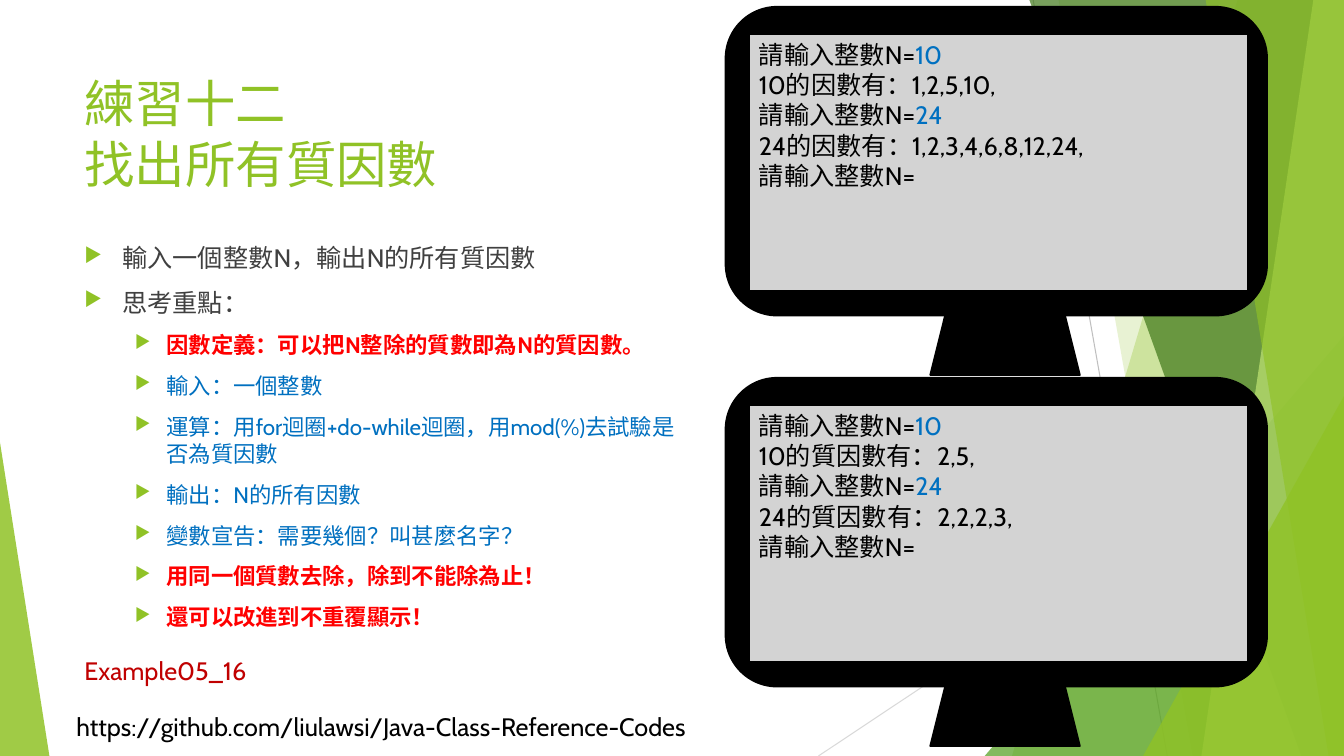
import lxml.etree
import pptx
import pptx.dml.color
import pptx.enum.shapes
import pptx.enum.text
import pptx.oxml.ns
import pptx.util

Pt = pptx.util.Pt
RGBColor = pptx.dml.color.RGBColor
Shape = pptx.enum.shapes.MSO_SHAPE
qn = pptx.oxml.ns.qn

BLACK = RGBColor(0x00, 0x00, 0x00)
GREEN = RGBColor(0x90, 0xC2, 0x26)
MID_GREEN = RGBColor(0x54, 0xA0, 0x21)
DARK_GREEN = RGBColor(0x3F, 0x78, 0x19)
PALE_GREEN = RGBColor(0xC0, 0xE4, 0x74)
SCREEN_GRAY = RGBColor(0xD3, 0xD3, 0xD3)
LINE_GRAY = RGBColor(0xBF, 0xBF, 0xBF)
PALE_GRAY = RGBColor(0xD9, 0xD9, 0xD9)
TEXT_GRAY = RGBColor(0x40, 0x40, 0x40)
RED = RGBColor(0xFF, 0x00, 0x00)
DARK_RED = RGBColor(0xC0, 0x00, 0x00)
BLUE = RGBColor(0x00, 0x70, 0xC0)

FONT = "Cabin"
WIDTH, HEIGHT = 960, 540
FACET_TOP = -0.6

PROMPT = "請輸入整數N="
FACTORS = [(PROMPT, "10"), ("10的因數有：1,2,5,10,", ""), (PROMPT, "24"),
           ("24的因數有：1,2,3,4,6,8,12,24,", ""), (PROMPT, "")]
PRIME_FACTORS = [(PROMPT, "10"), ("10的質因數有：2,5,", ""), (PROMPT, "24"),
                 ("24的質因數有：2,2,2,3,", ""), (PROMPT, "")]
POINTS = [
    (0, "輸入一個整數N，輸出N的所有質因數", TEXT_GRAY),
    (0, "思考重點：", TEXT_GRAY),
    (1, "因數定義：可以把N整除的質數即為N的質因數。", RED),
    (1, "輸入：一個整數", BLUE),
    (1, "運算：用for迴圈+do-while迴圈，用mod(%)去試驗是否為質因數", BLUE),
    (1, "輸出：N的所有因數", BLUE),
    (1, "變數宣告：需要幾個？叫甚麼名字？", BLUE),
    (1, "用同一個質數去除，除到不能除為止！", RED),
    (1, "還可以改進到不重覆顯示！", RED),
]


def set_font(font, size, color, bold=False):
    """Apply the slide's typeface with a size, colour and weight."""
    font.name, font.size, font.bold = FONT, Pt(size), bold
    font.color.rgb = color


def fill_facet(shape, color, alpha):
    """Give a shape a translucent fill without outline or shadow."""
    shape.shadow.inherit = False
    shape.fill.solid()
    shape.fill.fore_color.rgb = color
    shape.line.fill.background()
    tint = shape.fill._xPr.find(qn("a:solidFill"))[0]
    lxml.etree.SubElement(tint, qn("a:alpha")).set("val", str(alpha * 1000))


def add_hairline(shapes, start, end, color):
    """Draw a thin background line."""
    line = shapes.add_connector(pptx.enum.shapes.MSO_CONNECTOR.STRAIGHT,
                                Pt(start[0]), Pt(start[1]), Pt(end[0]), Pt(end[1]))
    line.line.color.rgb = color
    line.line.width = Pt(0.75)
    lxml.etree.SubElement(line._element.spPr, qn("a:effectLst"))


def add_band(shapes, top_x, bottom_x, color, alpha):
    """Fill the area between a slanted edge and the right slide border."""
    builder = shapes.build_freeform(Pt(top_x), Pt(FACET_TOP))
    corners = [(WIDTH, FACET_TOP), (WIDTH, HEIGHT), (bottom_x, HEIGHT)]
    builder.add_line_segments([(Pt(x), Pt(y)) for x, y in corners], close=True)
    fill_facet(builder.convert_to_shape(), color, alpha)


def add_wedge(shapes, left, top, width, peak, color, alpha):
    """Stand a right triangle on the bottom slide border."""
    wedge = shapes.add_shape(Shape.ISOSCELES_TRIANGLE, Pt(left), Pt(top),
                             Pt(width), Pt(HEIGHT - top))
    wedge.adjustments[0] = peak
    fill_facet(wedge, color, alpha)


def add_background(slide):
    """Draw the faceted green decoration."""
    shapes = slide.shapes.add_group_shape().shapes
    add_hairline(shapes, (738, 0), (833.8, HEIGHT), LINE_GRAY)
    add_hairline(shapes, (WIDTH, 290.2), (584.6, HEIGHT), PALE_GRAY)
    add_band(shapes, 884.2, 722.9, GREEN, 30)
    add_band(shapes, 756, 851.8, GREEN, 20)
    add_wedge(shapes, 703.4, 239.8, 256.6, 1, MID_GREEN, 72)
    add_band(shapes, 735.1, 929.5, DARK_GREEN, 70)
    add_band(shapes, 938.2, 858.2, PALE_GREEN, 70)
    add_band(shapes, 861.1, 949, GREEN, 65)
    add_wedge(shapes, 816.5, 283, 143.5, 1, GREEN, 80)
    add_wedge(shapes, 0, 316.1, 35.3, 0, GREEN, 85)


def add_label(slide, left, top, width, height, text, size, color, wrap=False):
    """Place a single-paragraph text box."""
    box = slide.shapes.add_textbox(Pt(left), Pt(top), Pt(width), Pt(height))
    box.text_frame.word_wrap = wrap
    para = box.text_frame.paragraphs[0]
    para.text = text
    set_font(para.font, size, color)


def add_bullet(para, margin, hanging):
    """Give a paragraph a green arrow bullet with a hanging indent."""
    props = para._p.get_or_add_pPr()
    props.set("marL", str(Pt(margin)))
    props.set("indent", str(-Pt(hanging)))
    tint = lxml.etree.SubElement(props, qn("a:buClr"))
    lxml.etree.SubElement(tint, qn("a:srgbClr")).set("val", str(GREEN))
    lxml.etree.SubElement(props, qn("a:buSzPct")).set("val", "80000")
    lxml.etree.SubElement(props, qn("a:buChar")).set("char", "▶")


def add_points(slide, left, top, width, height):
    """Place the two-level bulleted list."""
    box = slide.shapes.add_textbox(Pt(left), Pt(top), Pt(width), Pt(height))
    frame = box.text_frame
    frame.word_wrap = True
    for index, (level, text, color) in enumerate(POINTS):
        para = frame.add_paragraph() if index else frame.paragraphs[0]
        para.text = text
        para.level = level
        add_bullet(para, *((58.5, 22.5) if level else (27, 27)))
        para.space_before = Pt(10 if index else 0)
        set_font(para.font, 16 if level else 18, color, color == RED)


def add_part(shapes, kind, left, top, width, height, color):
    """Add one black-edged part of a monitor."""
    part = shapes.add_shape(kind, Pt(left), Pt(top), Pt(width), Pt(height))
    part.shadow.inherit = False
    part.fill.solid()
    part.fill.fore_color.rgb = color
    part.line.color.rgb = BLACK
    part.line.width = Pt(1.5)
    return part


def add_monitor(slide, left, top, lines):
    """Draw a monitor whose screen shows a console session."""
    shapes = slide.shapes.add_group_shape().shapes
    add_part(shapes, Shape.ROUNDED_RECTANGLE, left, top, 386.6, 220.3, BLACK)
    screen = add_part(shapes, Shape.RECTANGLE, left + 16.6, top + 19.4,
                      356.4, 183.6, SCREEN_GRAY)
    add_part(shapes, Shape.TRAPEZOID, left + 146.2, top + 220.3, 106.6, 42.5, BLACK)
    frame = screen.text_frame
    frame.word_wrap = True
    frame.vertical_anchor = pptx.enum.text.MSO_ANCHOR.TOP
    for index, (output, typed) in enumerate(lines):
        para = frame.add_paragraph() if index else frame.paragraphs[0]
        para.alignment = pptx.enum.text.PP_ALIGN.LEFT
        set_font(para.font, 18, BLACK)
        for text, color in ((output, BLACK), (typed, BLUE)):
            if text:
                span = para.add_run()
                span.text = text
                set_font(span.font, 18, color)


def main():
    """Build and save the exercise slide."""
    deck = pptx.Presentation()
    deck.slide_width, deck.slide_height = Pt(WIDTH), Pt(HEIGHT)
    page = deck.slides.add_slide(deck.slide_layouts[6])
    add_background(page)
    add_label(page, 47.5, 504.7, 482.4, 29,
              "https://github.com/liulawsi/Java-Class-Reference-Codes", 18, BLACK)
    add_label(page, 53.3, 48.2, 676.8, 103.7, "練習十二\v找出所有質因數", 36, GREEN, True)
    add_points(page, 53.3, 169.9, 451.4, 305.3)
    for top, lines in ((270, PRIME_FACTORS), (5, FACTORS)):
        add_monitor(page, 518.4, top, lines)
    add_label(page, 53.3, 464.4, 131.8, 29, "Example05_16", 18, DARK_RED)
    deck.save("out.pptx")


if __name__ == "__main__":
    main()
